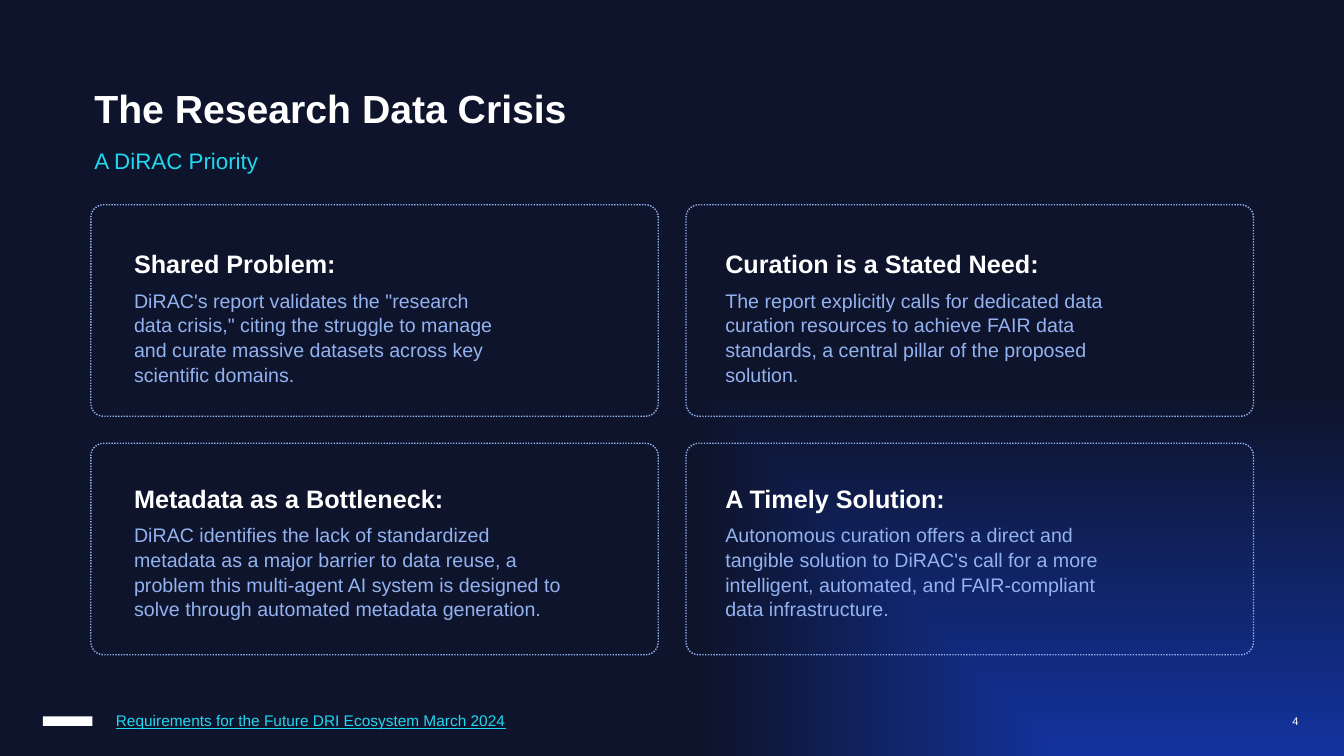
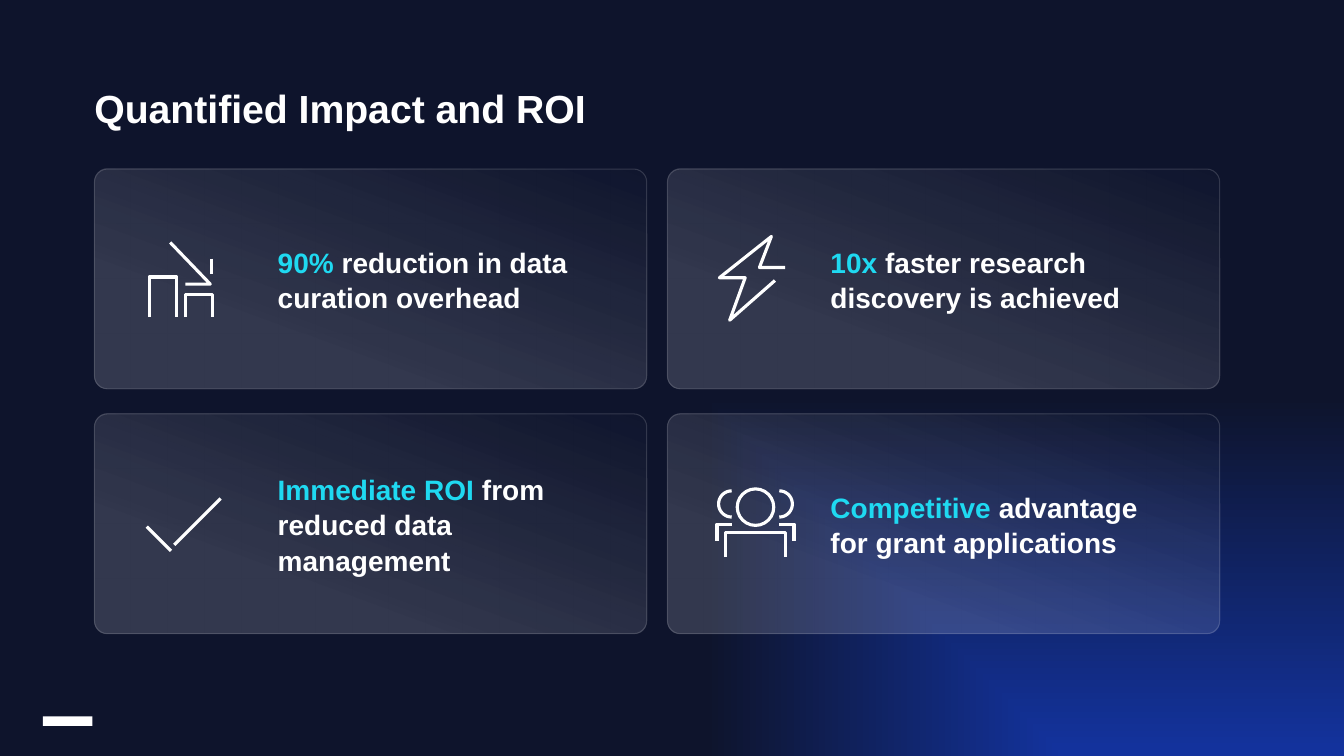
import math
from dataclasses import dataclass

import lxml.etree
import pptx
import pptx.dml.color
import pptx.enum.dml
import pptx.enum.shapes
import pptx.enum.text
import pptx.oxml.ns
import pptx.util

Cm, Pt = pptx.util.Cm, pptx.util.Pt
qn = pptx.oxml.ns.qn
SHAPES = pptx.enum.shapes.MSO_SHAPE
ANCHOR = pptx.enum.text.MSO_ANCHOR
ALIGN = pptx.enum.text.PP_ALIGN


@dataclass(frozen=True)
class Theme:
    font: str = "Arial"
    navy: str = "0E142C"
    blue: str = "13339E"
    cyan: str = "1FD9F1"
    white: str = "FFFFFF"
    sky: str = "93B2F0"
    glass: str = "E3E3EE"
    title: int = 28
    stat: int = 20
    heading: int = 18
    subtitle: int = 16
    body: int = 14
    link: int = 11
    number: int = 8
    spacing: float = 1.05
    icon_line: float = 2.25


T = Theme()
WIDTH, HEIGHT = 33.87, 19.05


def rgb(value):
    return pptx.dml.color.RGBColor.from_string(value)


# Drawing helpers; all lengths are centimetres
def sub(parent, tag, **attrs):
    return lxml.etree.SubElement(parent, qn(tag), attrs)


def add_shape(s, kind, x, y, w, h):
    sp = s.shapes.add_shape(kind, Cm(x), Cm(y), Cm(w), Cm(h))
    sp.shadow.inherit = False
    sp.fill.background()
    sp.line.fill.background()
    return sp


def set_line(sp, color, width):
    sp.line.color.rgb = rgb(color)
    sp.line.width = Pt(width)


def set_gradient(sp, stops):
    """Fill with (position %, colour, opacity %) stops; return the fill element."""
    grad = lxml.etree.Element(qn("a:gradFill"), rotWithShape="1")
    stop_list = sub(grad, "a:gsLst")
    for pos, color, opacity in stops:
        clr = sub(sub(stop_list, "a:gs", pos=str(pos * 1000)), "a:srgbClr", val=color)
        if opacity < 100:
            sub(clr, "a:alpha", val=str(opacity * 1000))
    props = sp.fill._xPr
    props.replace(props.find(qn("a:noFill")), grad)
    return grad


def add_text(s, box, paragraphs, after=0, anchor=ANCHOR.TOP, align=None, inset=0.13):
    """Each paragraph is a list of (text, size, colour, bold) runs."""
    x, y, w, h = box
    tf = s.shapes.add_textbox(Cm(x), Cm(y), Cm(w), Cm(h)).text_frame
    tf.word_wrap = True
    tf.vertical_anchor = anchor
    tf.margin_top = tf.margin_bottom = Cm(inset)
    for i, runs in enumerate(paragraphs):
        p = tf.add_paragraph() if i else tf.paragraphs[0]
        p.line_spacing = T.spacing
        p.space_after = Pt(after)
        p.alignment = align
        for text, size, color, bold in runs:
            r = p.add_run()
            r.text = text
            r.font.name = T.font
            r.font.size = Pt(size)
            r.font.bold = bold
            r.font.color.rgb = rgb(color)
    return tf


def add_stroke(s, points):
    """Draw an open white line through points."""
    pts = [(Cm(x), Cm(y)) for x, y in points]
    if len(pts) == 2:
        sp = s.shapes.add_connector(
            pptx.enum.shapes.MSO_CONNECTOR.STRAIGHT, *pts[0], *pts[1])
        sub(sp._element.spPr, "a:effectLst")
    else:
        builder = s.shapes.build_freeform(*pts[0])
        builder.add_line_segments(pts[1:], close=False)
        sp = builder.convert_to_shape()
        sp.shadow.inherit = False
        sp.fill.background()
    set_line(sp, T.white, T.icon_line)
    sub(sp.line._ln, "a:round")


def grid(x, y, w, h, gap_x, gap_y):
    """Four card boxes, row by row."""
    return [(x + col * (w + gap_x), y + row * (h + gap_y), w, h)
            for row in range(2) for col in range(2)]


# Shared frame: background, mark and title
def add_frame(prs, title):
    s = prs.slides.add_slide(prs.slide_layouts[6])
    s.background.fill.solid()
    s.background.fill.fore_color.rgb = rgb(T.navy)
    glow = add_shape(s, SHAPES.RECTANGLE, 0, 0, WIDTH, HEIGHT)
    grad = set_gradient(glow, [(0, T.blue, 100), (95, T.navy, 100)])
    sub(sub(grad, "a:path", path="rect"), "a:fillToRect", l="100000", t="100000")
    mark = add_shape(s, SHAPES.RECTANGLE, 1.08, 18.05, 1.25, 0.24)
    mark.fill.solid()
    mark.fill.fore_color.rgb = rgb(T.white)
    add_text(s, (2.13, 1.93, 29.6, 1.12), [[(title, T.title, T.white, True)]])
    return s


# Slide with outlined text cards
def add_outline_card(s, box, pad, text_w, heading, body):
    sp = add_shape(s, SHAPES.ROUNDED_RECTANGLE, *box)
    sp.adjustments[0] = 0.06
    set_line(sp, T.sky, 1)
    sp.line.dash_style = pptx.enum.dml.MSO_LINE.ROUND_DOT
    x, y, w, h = box
    add_text(s, (x + pad[0], y + pad[1], text_w, 3.63),
             [[(heading, T.heading, T.white, True)],
              [(body, T.body, T.sky, False)]], after=6)


def add_crisis_slide(prs):
    s = add_frame(prs, "The Research Data Crisis")
    add_text(s, (2.13, 3.55, 29.6, 0.66),
             [[("A DiRAC Priority", T.subtitle, T.cyan, False)]])
    cards = [
        ((0.84, 0.94), 10.03, "Shared Problem:",
         "DiRAC's report validates the \"research data crisis,\" citing the struggle "
         "to manage and curate massive datasets across key scientific domains."),
        ((0.74, 0.94), 10.03, "Curation is a Stated Need:",
         "The report explicitly calls for dedicated data curation resources to achieve "
         "FAIR data standards, a central pillar of the proposed solution."),
        ((0.84, 0.84), 11.61, "Metadata as a Bottleneck:",
         "DiRAC identifies the lack of standardized metadata as a major barrier to data "
         "reuse, a problem this multi-agent AI system is designed to solve through "
         "automated metadata generation."),
        ((0.74, 0.84), 10.03, "A Timely Solution:",
         "Autonomous curation offers a direct and tangible solution to DiRAC's call for "
         "a more intelligent, automated, and FAIR-compliant data infrastructure."),
    ]
    for box, card in zip(grid(2.29, 5.16, 14.3, 5.33, 0.7, 0.68), cards):
        add_outline_card(s, box, *card)
    # Footer
    tf = add_text(s, (2.67, 17.65, 10.95, 1), [[(
        "Requirements for the Future DRI Ecosystem March 2024",
        T.link, T.cyan, False)]], inset=0.25)
    tf.paragraphs[0].runs[0].font.underline = True
    add_text(s, (31.95, 17.65, 1.4, 1.02), [[("4", T.number, T.white, False)]],
             anchor=ANCHOR.MIDDLE, align=ALIGN.CENTER)


# Icons: strokes relative to the card corner
def arc(cx, cy, radius, side):
    """Half circle bulging right (side 1) or left (side -1)."""
    angles = [math.radians(a) for a in range(-90, 91, 10)]
    return [(cx + side * radius * math.cos(a), cy + radius * math.sin(a))
            for a in angles]


def bracket(left, right, top, bottom):
    return [(left, bottom), (left, top), (right, top), (right, bottom)]


FALLING_BARS = [
    [(2.96, 2.26), (2.96, 2.64)],
    [(1.91, 1.85), (2.92, 2.9), (2.29, 2.9)],
    bracket(2.3, 2.98, 3.16, 3.73),
    bracket(1.38, 2.07, 2.72, 3.73),
]
BOLT = [[(2.97, 2.48), (2.32, 2.48), (2.62, 1.7), (1.31, 2.74),
         (1.96, 2.74), (1.57, 3.81), (2.71, 2.81)]]
CHECK = [[(1.32, 2.84), (1.93, 3.45)], [(2.01, 3.3), (3.18, 2.13)]]
MID = 2.22
PEOPLE = [bracket(MID - 0.76, MID + 0.76, 2.98, 3.61)]
for side in (-1, 1):
    inner, outer = MID + side * 0.6, MID + side * 0.97
    PEOPLE += [[(inner, 2.78), (outer, 2.78), (outer, 3.2)],
               arc(inner, 2.27, 0.33, side)]


# Slide with glass cards
def add_glass_card(s, box, icon, text_x, lead, rest):
    x, y, w, h = box
    sp = add_shape(s, SHAPES.ROUNDED_RECTANGLE, *box)
    sp.adjustments[0] = 0.06
    grad = set_gradient(sp, [(30, T.glass, 17), (100, T.glass, 0)])
    sub(grad, "a:lin", ang=str(290 * 60000), scaled="0")
    set_line(sp, T.white, 0.75)
    sub(sp.line._ln.find(".//" + qn("a:srgbClr")), "a:alpha", val="15000")
    for stroke in icon:
        add_stroke(s, [(x + px, y + py) for px, py in stroke])
    if icon is PEOPLE:
        head = add_shape(s, SHAPES.OVAL, x + MID - 0.46, y + 1.89, 0.92, 0.92)
        set_line(head, T.white, T.icon_line)
    add_text(s, (x + text_x, y, 8.64, h),
             [[(lead, T.stat, T.cyan, True), (rest, T.stat, T.white, True)]],
             anchor=ANCHOR.MIDDLE)


def add_impact_slide(prs):
    s = add_frame(prs, "Quantified Impact and ROI")
    cards = [
        (FALLING_BARS, 4.37, "90% ", "reduction in data curation overhead"),
        (BOLT, 3.86, "10x", " faster research discovery is achieved"),
        (CHECK, 4.37, "Immediate ROI ", "from reduced data management"),
        (PEOPLE, 3.86, "Competitive", " advantage for grant applications"),
    ]
    for box, card in zip(grid(2.38, 4.26, 13.92, 5.54, 0.52, 0.63), cards):
        add_glass_card(s, box, *card)


def main():
    prs = pptx.Presentation()
    prs.slide_width, prs.slide_height = Cm(WIDTH), Cm(HEIGHT)
    add_crisis_slide(prs)
    add_impact_slide(prs)
    prs.save("out.pptx")


if __name__ == "__main__":
    main()
